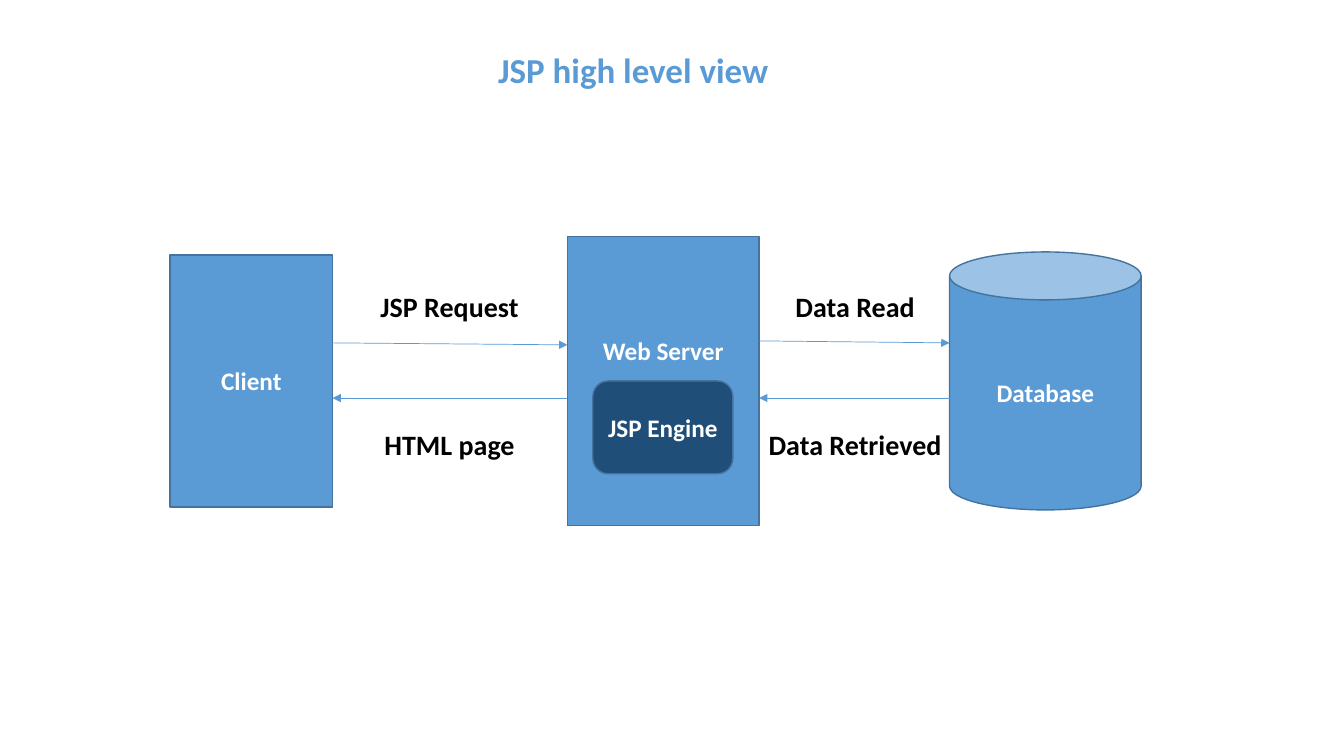
from pptx import Presentation
from pptx.dml.color import RGBColor as Rgb
from pptx.enum.shapes import MSO_CONNECTOR as Link, MSO_SHAPE as Form
from pptx.enum.text import MSO_ANCHOR as Anchor, PP_ALIGN as Align
from pptx.oxml import parse_xml
from pptx.oxml.ns import nsdecls, qn
from pptx.util import Cm, Pt

BLUE, NAVY, EDGE = "5B9BD5", "1F4E79", "43739E"
WHITE, BLACK = "FFFFFF", "000000"
MID = 9.6


def paint(code):
    return Rgb.from_string(code)


def apply(item, style):
    for name, value in style.items():
        setattr(item, name, value)


class Board:
    font = {"name": "Calibri", "bold": True}
    para = {"alignment": Align.CENTER}

    def __init__(self, deck):
        self.slide = deck.slides.add_slide(deck.slide_layouts[6])

    def letter(self, shape, words, size, tint, wrap=True, pad=0.13, gap=1.0):
        frame = shape.text_frame
        apply(frame, {"word_wrap": wrap, "margin_bottom": Cm(pad)})
        line = frame.paragraphs[0]
        apply(line, {**self.para, "line_spacing": gap})
        run = line.add_run()
        run.text = words
        apply(run.font, {**self.font, "size": Pt(size)})
        run.font.color.rgb = paint(tint)

    def node(self, form, words, left, wide, high, mid=MID, fill=BLUE, pad=0.13):
        shape = self.slide.shapes.add_shape(
            form, Cm(left), Cm(mid - high / 2), Cm(wide), Cm(high))
        shape.shadow.inherit = False
        shape.fill.solid()
        shape.fill.fore_color.rgb = paint(fill)
        shape.line.color.rgb = paint(EDGE)
        shape.line.width = Pt(1)
        shape.text_frame.vertical_anchor = Anchor.MIDDLE
        self.letter(shape, words, 18, WHITE, pad=pad)

    def label(self, words, mid, top):
        box = self.slide.shapes.add_textbox(
            Cm(mid - 2.45), Cm(top), Cm(4.9), Cm(1.12))
        self.letter(box, words, 20, BLACK, wrap=False)

    def title(self, words):
        box = self.slide.shapes.add_textbox(
            Cm(1.35), Cm(0), Cm(29.21), Cm(3.65))
        box.text_frame.vertical_anchor = Anchor.MIDDLE
        self.letter(box, words, 25, BLUE, gap=0.9)

    def arrow(self, x1, y1, x2, y2):
        link = self.slide.shapes.add_connector(
            Link.STRAIGHT, Cm(x1), Cm(y1), Cm(x2), Cm(y2))
        link.line.color.rgb = paint(BLUE)
        link.line.width = Pt(0.5)
        props = link._element.spPr
        tail = parse_xml(f'<a:tailEnd {nsdecls("a")} type="triangle"/>')
        props.find(qn("a:ln")).append(tail)
        props.append(parse_xml(f'<a:effectLst {nsdecls("a")}/>'))


deck = Presentation()
apply(deck, {"slide_width": Cm(33.87), "slide_height": Cm(19.05)})
board = Board(deck)
board.title("JSP high level view")

board.node(Form.RECTANGLE, "Web Server", 14.3, 4.83, 7.29, pad=1.65)
board.node(Form.RECTANGLE, "Client", 4.29, 4.09, 6.35)
board.node(Form.CAN, "Database", 23.93, 4.83, 6.5)
board.node(Form.ROUNDED_RECTANGLE, "JSP Engine", 14.94, 3.53, 2.34,
           mid=10.77, fill=NAVY)

flows = [
    (8.38, 14.3, 8.64, "JSP Request", "HTML page", 11.33),
    (19.13, 23.93, 8.59, "Data Read", "Data Retrieved", 21.55),
]
for left, right, top, ask, reply, mid in flows:
    board.arrow(left, top, right, top + 0.05)
    board.arrow(right, 10.03, left, 10.03)
    board.label(ask, mid, 7.16)
    board.label(reply, mid, 10.64)

deck.save("out.pptx")
